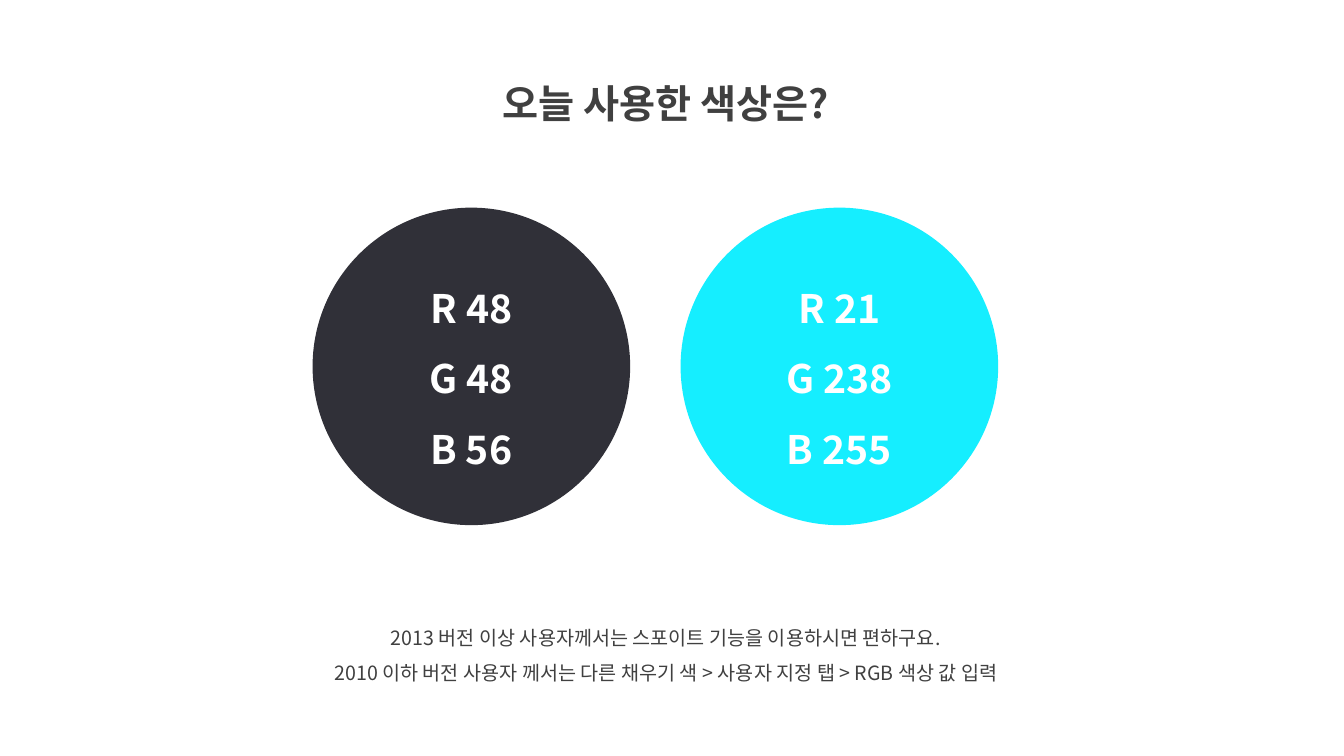
from lxml import etree
from pptx import Presentation
from pptx.dml.color import RGBColor
from pptx.enum.shapes import MSO_SHAPE
from pptx.enum.text import MSO_ANCHOR, MSO_AUTO_SIZE, PP_ALIGN
from pptx.oxml.ns import qn
from pptx.util import Inches, Pt

OVAL = MSO_SHAPE.OVAL
MIDDLE = MSO_ANCHOR.MIDDLE
GROW = MSO_AUTO_SIZE.SHAPE_TO_FIT_TEXT
CENTER = PP_ALIGN.CENTER

FONT = "Noto Sans CJK KR"
COLORS = {"text": "404040", "label": "FFFFFF", "dark": "303038", "cyan": "15EEFF"}
SWATCHES = [("dark", (48, 48, 56)), ("cyan", (21, 238, 255))]
DIAMETER = 3.15
GAP = 0.5


def write(frame, lines, size, color, bold=False):
    frame.word_wrap = True
    for index, line in enumerate(lines):
        paragraph = frame.add_paragraph() if index else frame.paragraphs[0]
        paragraph.alignment = CENTER
        paragraph.line_spacing = 1.5
        run = paragraph.add_run()
        run.text = line
        run.font.size = Pt(size)
        run.font.bold = bold
        run.font.name = FONT
        run.font.color.rgb = RGBColor.from_string(COLORS[color])
        east_asian = etree.SubElement(run.font._element, qn("a:ea"))
        east_asian.set("typeface", FONT)


def add_caption(slide, box, lines, size, bold=False):
    caption = slide.shapes.add_textbox(*map(Inches, box))
    write(caption.text_frame, lines, size, "text", bold)
    caption.text_frame.auto_size = GROW


def add_swatches(slide, left, top):
    for column, (color, levels) in enumerate(SWATCHES):
        x = left + column * (DIAMETER + GAP)
        circle = slide.shapes.add_shape(
            OVAL, Inches(x), Inches(top), Inches(DIAMETER), Inches(DIAMETER))
        circle.shadow.inherit = False
        circle.fill.solid()
        circle.fill.fore_color.rgb = RGBColor.from_string(COLORS[color])
        circle.line.fill.background()
        circle.text_frame.vertical_anchor = MIDDLE
        channels = [f"{name} {level}" for name, level in zip("RGB", levels)]
        write(circle.text_frame, channels, 28, "label", bold=True)


def main():
    deck = Presentation()
    deck.slide_width, deck.slide_height = Inches(13.33), Inches(7.5)
    slide = deck.slides.add_slide(deck.slide_layouts[6])
    add_caption(slide, (4.29, 0.5, 4.63, 0.72), ["오늘 사용한 색상은?"], 28, bold=True)
    add_caption(slide, (2.61, 6.04, 7.99, 0.81), [
        "2013 버전 이상 사용자께서는 스포이트 기능을 이용하시면 편하구요.",
        "2010 이하 버전 사용자 께서는 다른 채우기 색 > 사용자 지정 탭 > RGB 색상 값 입력",
    ], 14)
    add_swatches(slide, 3.1, 2.06)
    deck.save("out.pptx")


if __name__ == "__main__":
    main()
